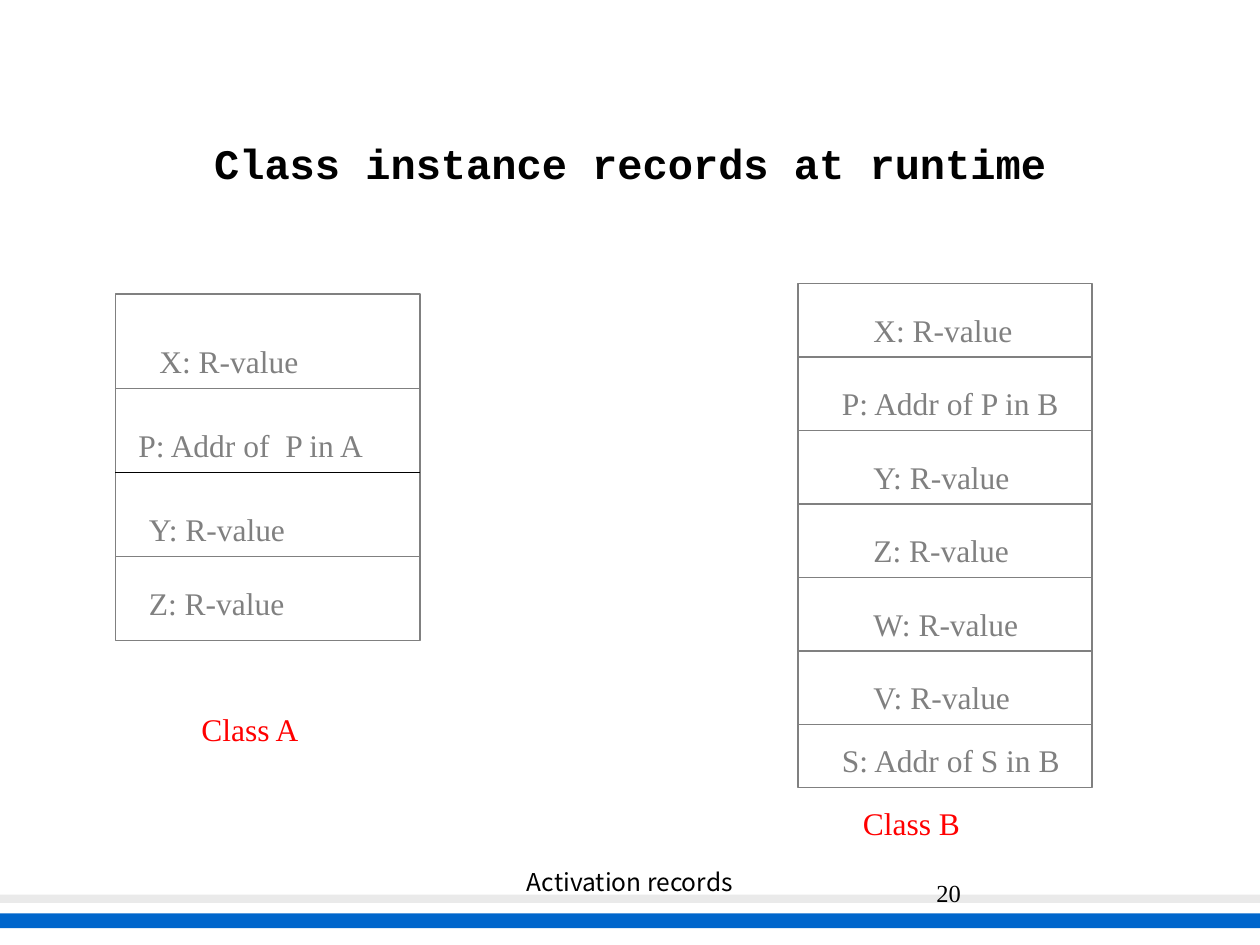
from lxml import etree
from pptx import Presentation
from pptx.dml.color import RGBColor
from pptx.enum.shapes import MSO_CONNECTOR, MSO_SHAPE
from pptx.enum.text import MSO_ANCHOR, PP_ALIGN
from pptx.oxml.ns import qn
from pptx.util import Pt

BLACK = RGBColor(0x00, 0x00, 0x00)
WHITE = RGBColor(0xFF, 0xFF, 0xFF)
GRAY = RGBColor(0x80, 0x80, 0x80)
PALE = RGBColor(0xEA, 0xEA, 0xEA)
BLUE = RGBColor(0x00, 0x66, 0xCC)
RED = RGBColor(0xFF, 0x00, 0x00)
SERIF, MONO, SANS = "Times New Roman", "Courier New", "Noto Sans CJK KR"

# Content; lengths are px, 120 to the inch
TITLE = "Class instance records at runtime"
FOOTER, PAGE_NUMBER = "Activation records", "20"
FIELDS_A = [  # text, left, top, width
    ("X: R-value", 140, 320, 250),
    ("P: Addr of  P in A", 120, 400, 260),
    ("Y: R-value", 130, 480, 220),
    ("Z: R-value", 130, 550, 240),
]
FIELDS_B = ["X: R-value", "P: Addr of P in B", "Y: R-value", "Z: R-value",
            "W: R-value", "V: R-value", "S: Addr of S in B"]
CAPTIONS = [("Class A", 180, 670, 120), ("Class B", 810, 760, 120)]

LEFT_A, TOP_A, WIDTH_A = 110, 280, 290
LEFT_B, TOP_B, WIDTH_B, ROW_B, LAST_ROW_B = 760, 270, 280, 70, 60
TEXT_HEIGHT = 48
SCALE = 7620


def emu(*lengths):
    return [length * SCALE for length in lengths]


def add_box(left, top, width, height, fill=WHITE, line=GRAY):
    box = page.shapes.add_shape(MSO_SHAPE.RECTANGLE, *emu(left, top, width, height))
    box.shadow.inherit = False
    box.fill.solid()
    box.fill.fore_color.rgb = fill
    if line is None:
        box.line.fill.background()
    else:
        box.line.color.rgb = line
        box.line.width = Pt(0.75)


def add_text(text, left, top, width, height=TEXT_HEIGHT, size=18, font=SERIF,
             color=GRAY, bold=False, align=PP_ALIGN.LEFT, anchor=MSO_ANCHOR.TOP):
    frame = page.shapes.add_textbox(*emu(left, top, width, height)).text_frame
    frame.word_wrap = True
    frame.vertical_anchor = anchor
    para = frame.paragraphs[0]
    para.alignment = align
    span = para.add_run()
    span.text = text
    span.font.size = Pt(size)
    span.font.name = font
    span.font.bold = bold
    span.font.color.rgb = color
    properties = span.font._element
    east_asian = etree.SubElement(properties, qn("a:ea"))
    east_asian.set("typeface", font)


deck = Presentation()
deck.slide_width, deck.slide_height = emu(1200, 900)
page = deck.slides.add_slide(deck.slide_layouts[6])

# Bands, footer and page number
add_box(0, 870, 1200, 14, BLUE, None)
add_box(0, 852, 1200, 8, PALE, None)
add_text(FOOTER, 410, 820, 380, 60, 14, SANS, BLACK, align=PP_ALIGN.CENTER)
add_text(PAGE_NUMBER, 880, 830, 250, 60, 14, color=BLACK)

# Title
add_text(TITLE, 90, 80, 1020, 150, 24, MONO, BLACK, True,
         PP_ALIGN.CENTER, MSO_ANCHOR.MIDDLE)

# Record of class A: outer frame, middle pair, divider
add_box(LEFT_A, TOP_A, WIDTH_A, 330)
add_box(LEFT_A, 370, WIDTH_A, 160)
divider = page.shapes.add_connector(
    MSO_CONNECTOR.STRAIGHT, *emu(LEFT_A, 450, LEFT_A + WIDTH_A, 450))
divider.line.color.rgb = BLACK
divider.line.width = Pt(0.75)
etree.SubElement(divider._element.spPr, qn("a:effectLst"))
for field in FIELDS_A:
    add_text(*field)

# Record of class B: one cell per field, the last one shorter
for index, field in enumerate(FIELDS_B):
    is_last = index == len(FIELDS_B) - 1
    top = TOP_B + index * ROW_B
    add_box(LEFT_B, top, WIDTH_B, LAST_ROW_B if is_last else ROW_B)
    left, width = (790, 240) if "Addr" in field else (820, 170)
    add_text(field, left, top + (10 if is_last else 20), width)

# Captions
for caption in CAPTIONS:
    add_text(*caption, color=RED)

deck.save("out.pptx")
